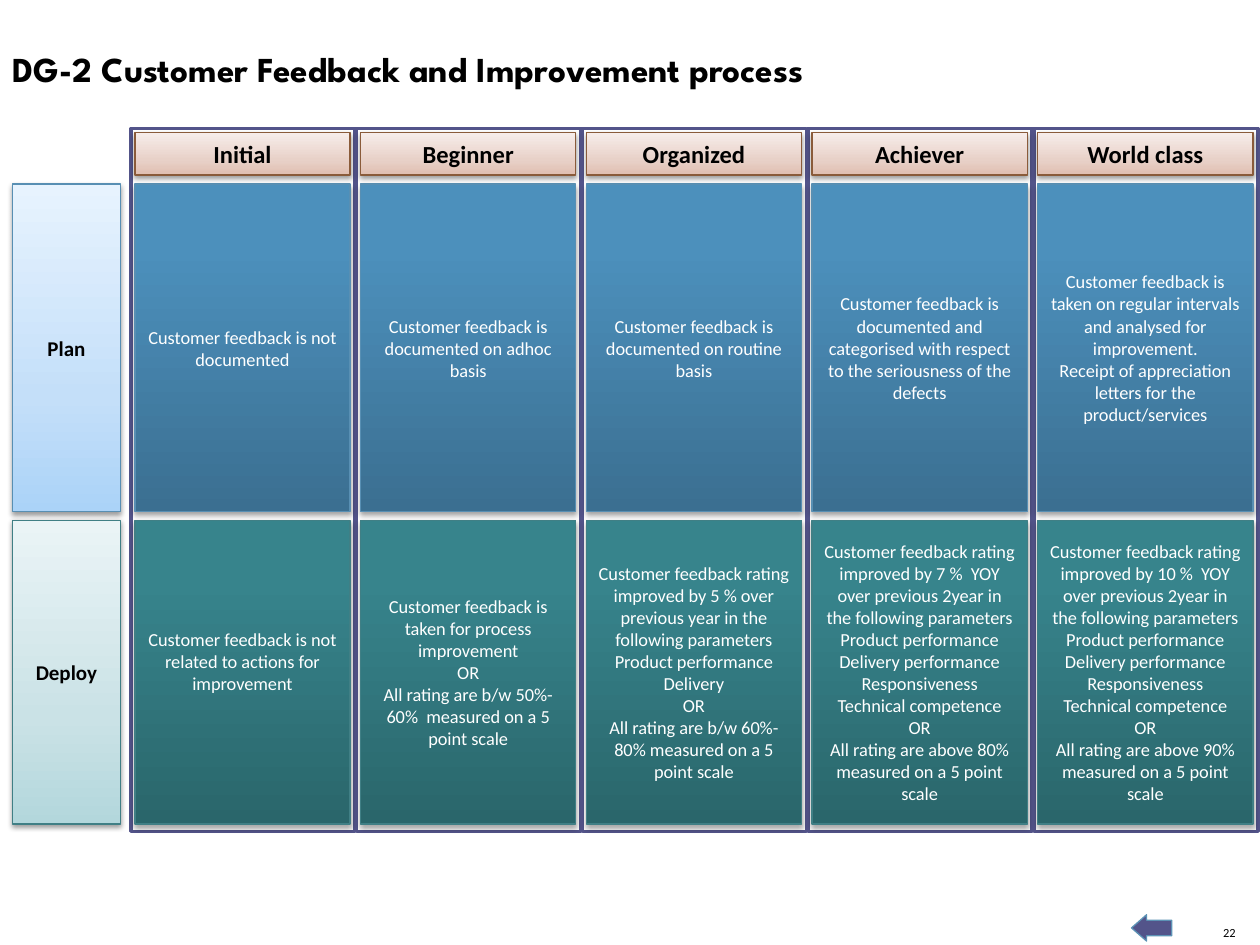
from lxml.etree import SubElement
from pptx import Presentation
from pptx.dml.color import RGBColor
from pptx.enum.shapes import MSO_SHAPE as Preset
from pptx.enum.text import MSO_ANCHOR as Anchor, PP_ALIGN as Align
from pptx.oxml.ns import qn
from pptx.util import Cm, Pt

BLACK = RGBColor(0x00, 0x00, 0x00)
WHITE = RGBColor(0xFF, 0xFF, 0xFF)
INDIGO = RGBColor(0x53, 0x54, 0x8A)
ARROW_EDGE = RGBColor(0x5C, 0x92, 0xB5)
BLUE_EDGE = RGBColor(0x58, 0x8F, 0xB3)
TEAL_EDGE = RGBColor(0x40, 0x7F, 0x85)
BROWN_EDGE = RGBColor(0x8A, 0x5B, 0x3A)

LIGHT_BLUE = ((0, RGBColor(0xAB, 0xD3, 0xF8)), (35, RGBColor(0xC4, 0xDF, 0xF9)),
              (100, RGBColor(0xE7, 0xF3, 0xFE)))
LIGHT_TEAL = ((0, RGBColor(0xB3, 0xD7, 0xDC)), (35, RGBColor(0xCA, 0xE2, 0xE6)),
              (100, RGBColor(0xEA, 0xF4, 0xF6)))
DEEP_BLUE = ((0, RGBColor(0x3B, 0x6F, 0x91)), (80, RGBColor(0x4C, 0x90, 0xBC)),
             (100, RGBColor(0x4A, 0x91, 0xBF)))
DEEP_TEAL = ((0, RGBColor(0x2A, 0x66, 0x6B)), (80, RGBColor(0x37, 0x84, 0x8C)),
             (100, RGBColor(0x36, 0x86, 0x8E)))
PEACH = ((0, RGBColor(0xE0, 0xBE, 0xB0)), (35, RGBColor(0xE8, 0xD1, 0xC8)),
         (100, RGBColor(0xF7, 0xED, 0xEA)))

FRAME_LEFT, FRAME_TOP, FRAME_WIDTH, FRAME_HEIGHT = 2.64, 2.59, 4.52, 14.17
CARD_LEFT, CARD_WIDTH, COLUMN_STEP = 2.72, 4.34, 4.55
LABEL_LEFT, LABEL_WIDTH = 0.25, 2.18
HEADER_TOP, HEADER_HEIGHT = 2.67, 0.86

LEVELS = ["Initial", "Beginner", "Organized", "Achiever", "World class"]
PLAN = [
    "Customer feedback is not documented",
    "Customer feedback is documented on adhoc basis",
    "Customer feedback is documented on routine basis",
    "Customer feedback is documented and categorised with respect to the "
    "seriousness of the defects",
    "Customer feedback is taken on regular intervals and analysed for improvement.\n"
    "Receipt of appreciation letters for the product/services",
]
TOP_RATING = (
    "Customer feedback rating improved by {} %  YOY over previous 2year in the "
    "following parameters\nProduct performance\nDelivery performance\n"
    "Responsiveness\nTechnical competence\nOR\n"
    "All rating are above {}% measured on a 5 point scale"
)
DEPLOY = [
    "Customer feedback is not related to actions for improvement",
    "Customer feedback is taken for process improvement\nOR\n"
    "All rating are b/w 50%-60%  measured on a 5 point scale",
    "Customer feedback rating improved by 5 % over previous year in the following "
    "parameters\nProduct performance\nDelivery\nOR\n"
    "All rating are b/w 60%-80% measured on a 5 point scale",
    TOP_RATING.format(7, 80),
    TOP_RATING.format(10, 90),
]
ROWS = [
    ("Plan", 3.71, 6.6, LIGHT_BLUE, DEEP_BLUE, BLUE_EDGE, PLAN),
    ("Deploy", 10.49, 6.12, LIGHT_TEAL, DEEP_TEAL, TEAL_EDGE, DEPLOY),
]


def write_text(box, text, size, color, bold=False, align=Align.CENTER, font="Calibri"):
    box.text_frame.text = text
    for para in box.text_frame.paragraphs:
        para.alignment = align
        for span in para.runs:
            span.font.name = font
            span.font.size = Pt(size)
            span.font.bold = bold
            span.font.color.rgb = color


def add_shape(page, preset, left, top, width, height, edge, weight):
    shape = page.shapes.add_shape(preset, Cm(left), Cm(top), Cm(width), Cm(height))
    shape.shadow.inherit = False
    shape.line.color.rgb = edge
    shape.line.width = Pt(weight)
    return shape


def paint_gradient(shape, stops):
    shape.fill.gradient()
    shape.fill.gradient_angle = 90
    stop_list = shape._element.spPr.find(qn("a:gradFill")).find(qn("a:gsLst"))
    for stop in list(stop_list):
        stop_list.remove(stop)
    for percent, color in stops:
        stop = SubElement(stop_list, qn("a:gs"), pos=str(percent * 1000))
        SubElement(stop, qn("a:srgbClr"), val=str(color))


def cast_shadow(shape, opacity, distance):
    effects = shape._element.spPr.find(qn("a:effectLst"))
    shadow = SubElement(effects, qn("a:outerShdw"), blurRad=str(Pt(3.1)),
                        dist=str(Pt(distance)), dir="5400000", rotWithShape="0")
    color = SubElement(shadow, qn("a:srgbClr"), val=str(BLACK))
    SubElement(color, qn("a:alpha"), val=str(opacity * 1000))


def add_card(page, left, top, width, height, stops, edge, text, size, heading=True):
    card = add_shape(page, Preset.RECTANGLE, left, top, width, height, edge, 0.75)
    paint_gradient(card, stops)
    cast_shadow(card, 38 if heading else 35, 1.6 if heading else 1.8)
    card.text_frame.word_wrap = True
    card.text_frame.vertical_anchor = Anchor.MIDDLE
    write_text(card, text, size, BLACK if heading else WHITE, bold=heading)
    return card


def add_frame(page, left):
    frame = add_shape(page, Preset.RECTANGLE, left, FRAME_TOP, FRAME_WIDTH,
                      FRAME_HEIGHT, INDIGO, 2)
    frame.fill.solid()
    frame.fill.fore_color.rgb = WHITE


def add_title(page):
    box = page.shapes.add_textbox(Cm(0), Cm(0.84), Cm(21.84), Cm(1.12))
    box.text_frame.word_wrap = True
    write_text(box, "DG-2 Customer Feedback and Improvement process", 20, BLACK,
               bold=True, align=Align.LEFT, font="League Spartan")


def add_footer(page):
    box = page.shapes.add_textbox(Cm(24.61), Cm(18.64), Cm(0.3), Cm(0.3))
    frame = box.text_frame
    frame.margin_left = frame.margin_right = frame.margin_top = frame.margin_bottom = 0
    frame.word_wrap = False
    frame.vertical_anchor = Anchor.BOTTOM
    write_text(box, "22", 7.1, BLACK, align=Align.RIGHT)

    arrow = add_shape(page, Preset.RIGHT_ARROW, 22.81, 18.44, 0.81, 0.53, ARROW_EDGE, 0.75)
    arrow.rotation = 180
    arrow.adjustments[0] = 0.59
    arrow.adjustments[1] = 0.57
    arrow.fill.solid()
    arrow.fill.fore_color.rgb = INDIGO


def add_matrix(page):
    for label, top, height, light, deep, edge, texts in ROWS:
        add_card(page, LABEL_LEFT, top, LABEL_WIDTH, height, light, edge, label, 12)
    for column in range(len(LEVELS)):
        add_frame(page, FRAME_LEFT + column * COLUMN_STEP)
    for label, top, height, light, deep, edge, texts in ROWS:
        for column, text in enumerate(texts):
            card = add_card(page, CARD_LEFT + column * COLUMN_STEP, top, CARD_WIDTH,
                            height, deep, edge, text, 10.5, heading=False)
            if label == "Deploy" and column == 0:
                card.text_frame.margin_bottom = Cm(0.57)
    for column, level in enumerate(LEVELS):
        add_card(page, CARD_LEFT + column * COLUMN_STEP, HEADER_TOP, CARD_WIDTH,
                 HEADER_HEIGHT, PEACH, BROWN_EDGE, level, 14)


def main():
    deck = Presentation()
    deck.slide_width, deck.slide_height = Cm(25.4), Cm(19.05)
    page = deck.slides.add_slide(deck.slide_layouts[6])
    add_footer(page)
    add_title(page)
    add_matrix(page)
    deck.save("out.pptx")


if __name__ == "__main__":
    main()
